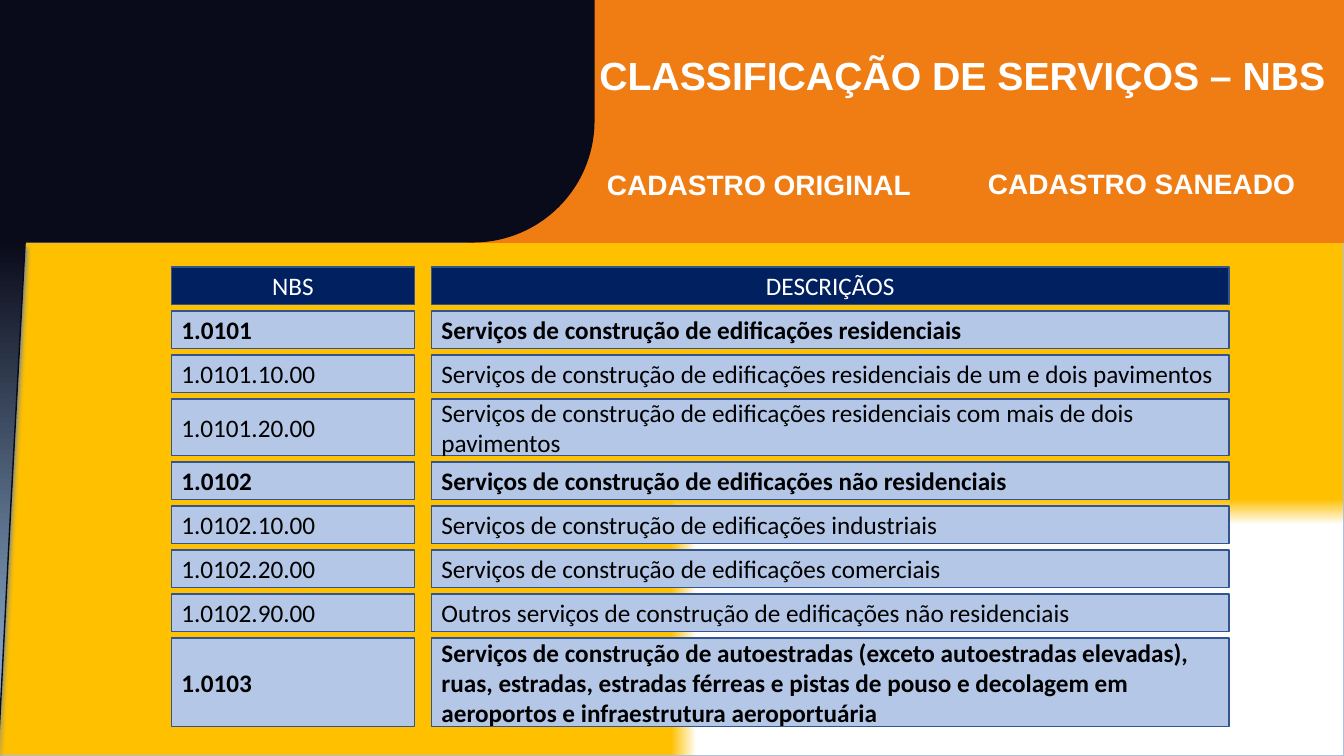
from lxml import etree
from pptx import Presentation
from pptx.dml.color import RGBColor
from pptx.enum.shapes import MSO_SHAPE
from pptx.enum.text import MSO_ANCHOR, MSO_AUTO_SIZE, PP_ALIGN
from pptx.oxml.ns import qn
from pptx.util import Inches, Pt

RECT, ROUND1 = MSO_SHAPE.RECTANGLE, MSO_SHAPE.ROUND_1_RECTANGLE
MIDDLE, TOP = MSO_ANCHOR.MIDDLE, MSO_ANCHOR.TOP
LEFT, CENTER = PP_ALIGN.LEFT, PP_ALIGN.CENTER
GROW = MSO_AUTO_SIZE.SHAPE_TO_FIT_TEXT
A = "http://schemas.openxmlformats.org/drawingml/2006/main"
rgb = RGBColor.from_string

W, H = 13.33, 7.5
EDGE, BAND = -0.02, 2.4
ORANGE, DARK, NAVY, PALE = "F07D14", "0A0B1A", "002060", "B4C7E7"

prs = Presentation()
prs.slide_width, prs.slide_height = Inches(W), Inches(H)
sp = prs.slides.add_slide(prs.slide_layouts[6]).shapes


def style(s, fill, line):
    s.shadow.inherit = False
    s.fill.solid()
    s.fill.fore_color.rgb = rgb(fill)
    s.line.color.rgb = rgb(line)
    s.line.width = Pt(1)
    return s


def text(s, words, size=18, font="Calibri", color="000000", bold=False,
         align=LEFT, anchor=MIDDLE, wrap=True):
    tf = s.text_frame
    tf.word_wrap, tf.vertical_anchor = wrap, anchor
    p = tf.paragraphs[0]
    p.alignment = align
    r = p.add_run()
    r.text = words
    r.font.size, r.font.name, r.font.bold = Pt(size), font, bold
    r.font.color.rgb = rgb(color)
    return tf


panels = []
for kind, x, y, w, h, fill, line in [
    (RECT, EDGE, BAND, W - EDGE, H - BAND, "FFFFFF", "ABC0E4"),
    (RECT, 4.65, 0, W - 4.65, BAND, ORANGE, ORANGE),
    (ROUND1, EDGE, 0, 5.91, BAND, DARK, DARK),
]:
    s = sp.add_shape(kind, Inches(x), Inches(y), Inches(w), Inches(h))
    panels.append(style(s, fill, line))
backdrop, header, corner = panels
corner.adjustments[0] = 0.5
corner._element.spPr.find(qn("a:xfrm")).set("flipV", "1")

fb = sp.build_freeform(Inches(EDGE), Inches(BAND))
fb.add_line_segments([(Inches(x), Inches(y)) for x, y in
                      [(0.25, BAND), (0.11, 4.98), (EDGE, H)]])
strip = style(fb.convert_to_shape(), DARK, DARK)
strip._element.spPr.find(qn("a:effectLst")).append(etree.fromstring(
    f'<a:outerShdw xmlns:a="{A}" blurRad="50800" dist="50800" dir="5400000">'
    '<a:srgbClr val="4472C4"/></a:outerShdw>'))

for s, stops, direction in [
    (backdrop, [(0, "FFFFFF"), (90, "FFFFFF"), (100, "FFC000")],
     '<a:path path="rect"><a:fillToRect l="100000" t="100000"/></a:path>'),
    (strip, [(0, DARK), (100, "9DC3E6")], '<a:lin ang="5400000" scaled="0"/>'),
]:
    gs = "".join(f'<a:gs pos="{pos * 1000}"><a:srgbClr val="{c}"/></a:gs>' for pos, c in stops)
    spPr = s._element.spPr
    spPr.replace(spPr.find(qn("a:solidFill")), etree.fromstring(
        f'<a:gradFill xmlns:a="{A}" rotWithShape="1"><a:gsLst>{gs}</a:gsLst>{direction}</a:gradFill>'))

rows = [
    ("NBS", "DESCRIÇÃOS", 0.37),
    ("1.0101", "Serviços de construção de edificações residenciais", 0.37),
    ("1.0101.10.00", "Serviços de construção de edificações residenciais de um e dois pavimentos", 0.37),
    ("1.0101.20.00", "Serviços de construção de edificações residenciais com mais de dois pavimentos", 0.56),
    ("1.0102", "Serviços de construção de edificações não residenciais", 0.37),
    ("1.0102.10.00", "Serviços de construção de edificações industriais", 0.37),
    ("1.0102.20.00", "Serviços de construção de edificações comerciais", 0.37),
    ("1.0102.90.00", "Outros serviços de construção de edificações não residenciais", 0.37),
    ("1.0103", "Serviços de construção de autoestradas (exceto autoestradas elevadas), ruas, "
     "estradas, estradas férreas e pistas de pouso e decolagem em aeroportos e "
     "infraestrutura aeroportuária", 0.88),
]
columns = [(1.7, 2.41), (4.28, 7.91)]
top, bottom = 2.65, 7.21
gap = (bottom - top - sum(h for _, _, h in rows)) / (len(rows) - 1)
y = top
for i, (code, description, h) in enumerate(rows):
    head = i == 0
    for (x, w), words in zip(columns, (code, description)):
        s = sp.add_shape(RECT, Inches(x), Inches(y), Inches(w), Inches(h))
        style(s, NAVY if head else PALE, "325491")
        text(s, words, color="FFFFFF" if head else "000000",
             bold=not head and code.count(".") == 1, align=CENTER if head else LEFT)
    y += h + gap

for words, x, y, w, h, size, align, wrap in [
    ("CLASSIFICAÇÃO DE SERVIÇOS – NBS", 5.43, 0.46, 8.23, 0.57, 28, CENTER, True),
    ("CADASTRO ORIGINAL", 6.02, 1.65, 5.64, 0.35, 20, LEFT, True),
    ("CADASTRO SANEADO", 9.7, 1.6, 3.28, 0.44, 20, LEFT, False),
]:
    s = sp.add_textbox(Inches(x), Inches(y), Inches(w), Inches(h))
    tf = text(s, words, size, "Arial", "FFFFFF", True, align, TOP, wrap)
    tf.auto_size = GROW
    if words.endswith("ORIGINAL"):
        tf.margin_left = tf.margin_right = tf.margin_bottom = 0
        tf.margin_top = Inches(0.01)
        tf.paragraphs[0].space_before = Pt(1.1)

prs.save("out.pptx")
